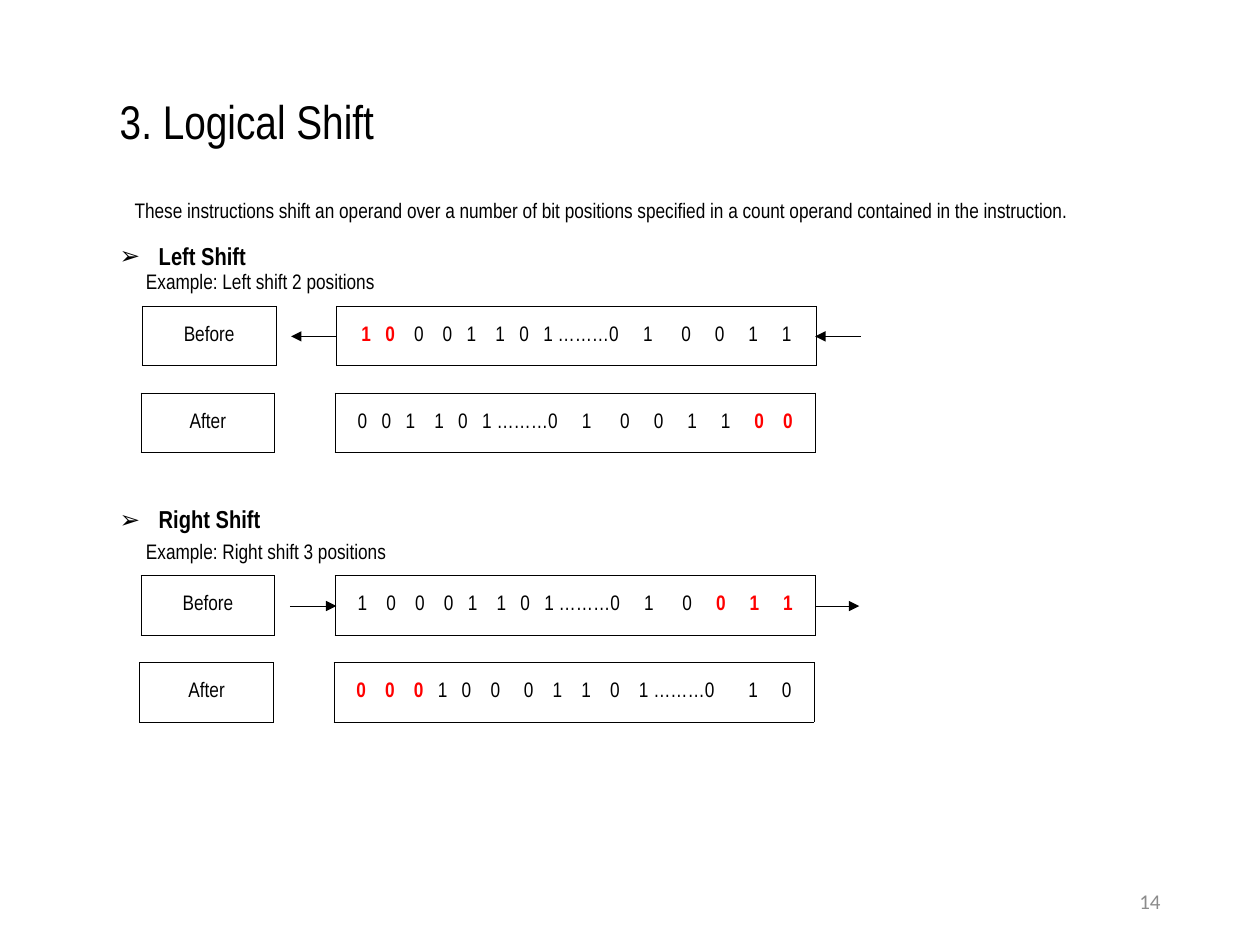
from itertools import accumulate, groupby

from lxml import etree
from pptx import Presentation, util as u
from pptx.dml.color import RGBColor
from pptx.enum import shapes, text
from pptx.oxml import ns

COLORS = {"ink": "000000", "moved": "FF0000", "paper": "FFFFFF", "number": "8C8C8C"}
FONT = "Arial Narrow"
GRID = u.Inches(1)  # the page is 10 columns by 7.5 rows
REGISTER_WIDTH, LABEL_WIDTH, BOX_HEIGHT = 3.81, 1.06, 0.47
LABEL_OFFSET, AFTER_OFFSET = 1.54, 0.69
SPACE, DIGIT, ELLIPSIS = 0.038, 0.076, 0.45

# Bits, number of space widths after each one, and the range of moved bits
LEFT_BEFORE = ("1,0,0,0,1,1,0,1 ………0,1,0,0,1,1", "344343356555", range(0, 2))
LEFT_AFTER = ("0,0,1,1,0,1 ………0,1,0,0,1,1,0,0", "334335655554", range(11, 13))
RIGHT_BEFORE = ("1,0,0,0,1,1,0,1 ………0,1,0,0,1,1", "444343356555", range(10, 13))
RIGHT_AFTER = ("0,0,0,1,0,0,0,1,1,0,1 ………0,1,0", "443345444475", range(0, 3))


def grid(*steps):
    """Turn grid steps into slide lengths."""
    return [round(step * GRID) for step in steps]


def add_xml(parent, tag, **attributes):
    """Append a drawing element to a parent."""
    return etree.SubElement(parent, ns.qn(tag), **attributes)


def style(span, size=12, color="ink", bold=False, font=FONT):
    """Format one run of text."""
    span.font.name, span.font.size, span.font.bold = font, u.Pt(size), bold
    span.font.color.rgb = RGBColor.from_string(COLORS[color])


def write(box, content, spacing=None, align=text.PP_ALIGN.LEFT,
          anchor=text.MSO_ANCHOR.MIDDLE, **look):
    """Put one formatted paragraph into a text shape."""
    frame = box.text_frame
    frame.text = content
    frame.word_wrap = True
    frame.auto_size = text.MSO_AUTO_SIZE.NONE
    frame.vertical_anchor = anchor
    para = frame.paragraphs[0]
    para.alignment = align
    para.space_before = u.Pt(0)
    if spacing:
        para.line_spacing = spacing
    style(para.runs[0], **look)
    return para


def fill_placeholder(box, place, content, **look):
    """Move a template placeholder and write its text."""
    box.left, box.top, box.width, box.height = grid(*place)
    return write(box, content, spacing=0.9, **look)


def add_text(page, place, content, **look):
    """Add a text box."""
    return write(page.shapes.add_textbox(*grid(*place)), content, **look)


def add_heading(box, place, content):
    """Write a section heading with an arrow bullet."""
    props = fill_placeholder(box, place, content, size=14, bold=True)._p.get_or_add_pPr()
    indent = round(0.31 * GRID)
    props.set("marL", str(indent))
    props.set("indent", str(-indent))
    add_xml(props, "a:buChar", char="➢")


def add_cell_box(page, left, top, width):
    """Add a bordered table of one cell and return the cell."""
    table = page.shapes.add_table(1, 1, *grid(left, top, width, BOX_HEIGHT)).table
    table.first_row = table.horz_banding = False
    cell = table.cell(0, 0)
    cell.vertical_anchor = text.MSO_ANCHOR.MIDDLE
    props = cell._tc.get_or_add_tcPr()
    for side in ("L", "R", "T", "B"):
        line = add_xml(props, f"a:ln{side}", w=str(u.Pt(0.5)))
        add_xml(add_xml(line, "a:solidFill"), "a:srgbClr", val=COLORS["ink"])
    cell.fill.solid()
    cell.fill.fore_color.rgb = RGBColor.from_string(COLORS["paper"])
    return cell


def add_label(page, left, top, content):
    """Add a box that names the state of the register."""
    para = add_cell_box(page, left, top, LABEL_WIDTH).text_frame.paragraphs[0]
    para.text = content
    para.alignment = text.PP_ALIGN.CENTER
    style(para.runs[0])


def add_register(page, left, top, bits, gaps, moved):
    """Add a register whose bits sit on tab stops, centred as a group."""
    tokens = bits.split(",")
    widths = [DIGIT if len(token) == 1 else 2 * DIGIT + ELLIPSIS for token in tokens]
    stops = list(accumulate(width + SPACE * int(gap) for width, gap in zip(widths, gaps)))
    cell = add_cell_box(page, left, top, REGISTER_WIDTH)
    cell.margin_left = grid((REGISTER_WIDTH - stops[-1] - DIGIT) / 2)[0]
    cell.margin_right = 0
    para = cell.text_frame.paragraphs[0]
    para.alignment = text.PP_ALIGN.LEFT
    tabs = add_xml(para._p.get_or_add_pPr(), "a:tabLst")
    for stop in grid(*stops):
        add_xml(tabs, "a:tab", pos=str(stop), algn="l")
    for is_moved, group in groupby(range(len(tokens)), lambda index: index in moved):
        span = para.add_run()
        span.text = "".join(("\t" if index else "") + tokens[index] for index in group)
        style(span, color="moved" if is_moved else "ink", bold=is_moved)


def add_arrow(page, start, end, row):
    """Add a horizontal arrow."""
    x1, x2, y = grid(start, end, row)
    arrow = page.shapes.add_connector(shapes.MSO_CONNECTOR.STRAIGHT, x1, y, x2, y)
    arrow.line.width = u.Pt(0.5)
    arrow.line.color.rgb = RGBColor.from_string(COLORS["ink"])
    add_xml(arrow.line._get_or_add_ln(), "a:tailEnd", type="triangle")
    add_xml(arrow._element.spPr, "a:effectLst")


def add_shift(page, left, top, example, before, after, arrows):
    """Add an example: both states of the register and its arrows."""
    add_text(page, (1.06, top - 0.41, 3.21, 0.45), example, spacing=0.9)
    states = (("Before", before, left, top),
              ("After", after, left - 0.01, top + AFTER_OFFSET))
    for label, register, column, row in states:
        add_label(page, column - LABEL_OFFSET, row, label)
        add_register(page, column, row, *register)
    for start, end in arrows:
        add_arrow(page, start, end, top + 0.24)


def main():
    """Build the slide and save it."""
    deck = Presentation()
    deck.slide_width, deck.slide_height = grid(10, 7.5)
    page = deck.slides.add_slide(deck.slide_layouts.get_by_name("Two Content"))
    title, left_heading, right_heading = page.placeholders
    fill_placeholder(title, (0.85, 0.57, 8.62, 0.83), "3. Logical Shift", size=27)
    add_text(page, (0.97, 1.52, 8.27, 0.3),
             "These instructions shift an operand over a number of bit positions "
             "specified in a count operand contained in the instruction.",
             anchor=text.MSO_ANCHOR.TOP)
    add_heading(left_heading, (0.85, 1.82, 3.21, 0.45), "Left Shift")
    add_shift(page, 2.67, 2.43, "Example: Left shift 2 positions",
              LEFT_BEFORE, LEFT_AFTER, ((2.67, 2.31), (6.83, 6.47)))
    add_heading(right_heading, (0.85, 3.91, 3.21, 0.45), "Right Shift")
    add_shift(page, 2.66, 4.57, "Example: Right shift 3 positions",
              RIGHT_BEFORE, RIGHT_AFTER, ((2.3, 2.67), (6.47, 6.82)))
    add_text(page, (7.06, 6.95, 2.25, 0.4), "14", align=text.PP_ALIGN.RIGHT,
             color="number", font="Calibri")
    deck.save("out.pptx")


main()
